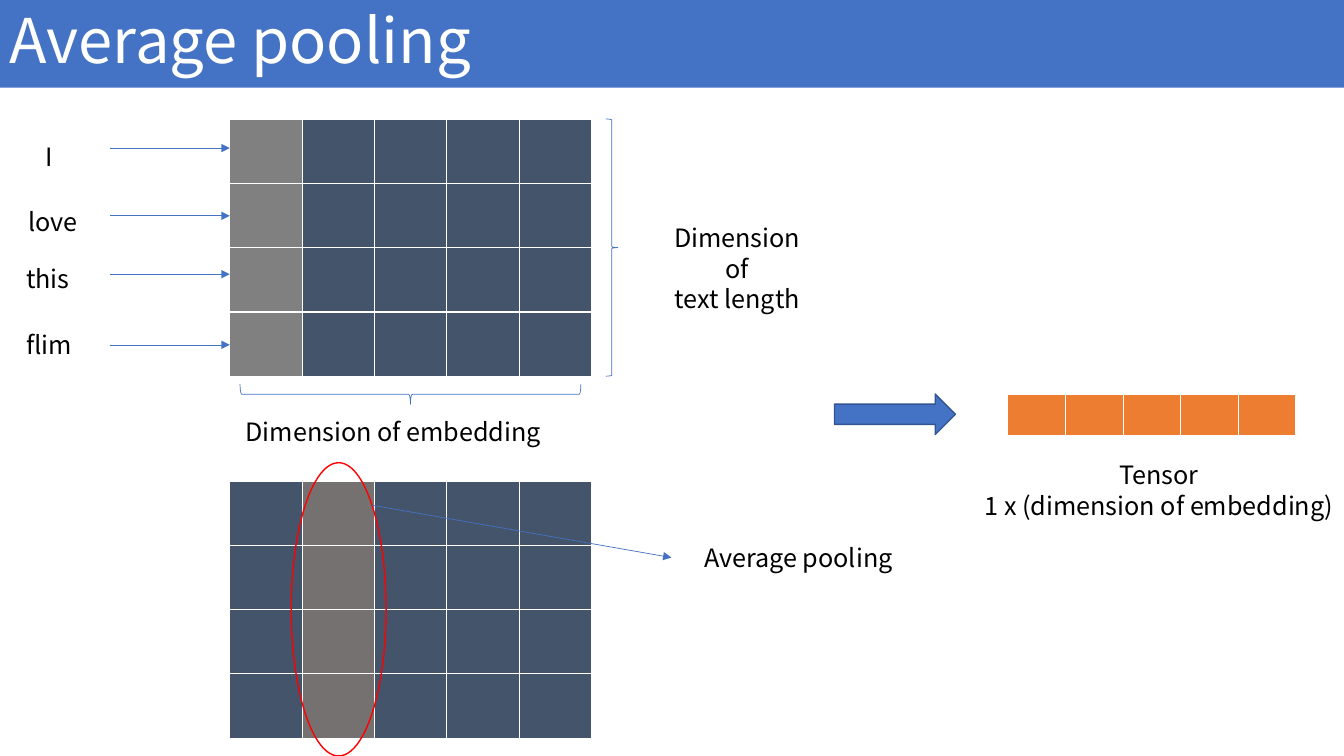
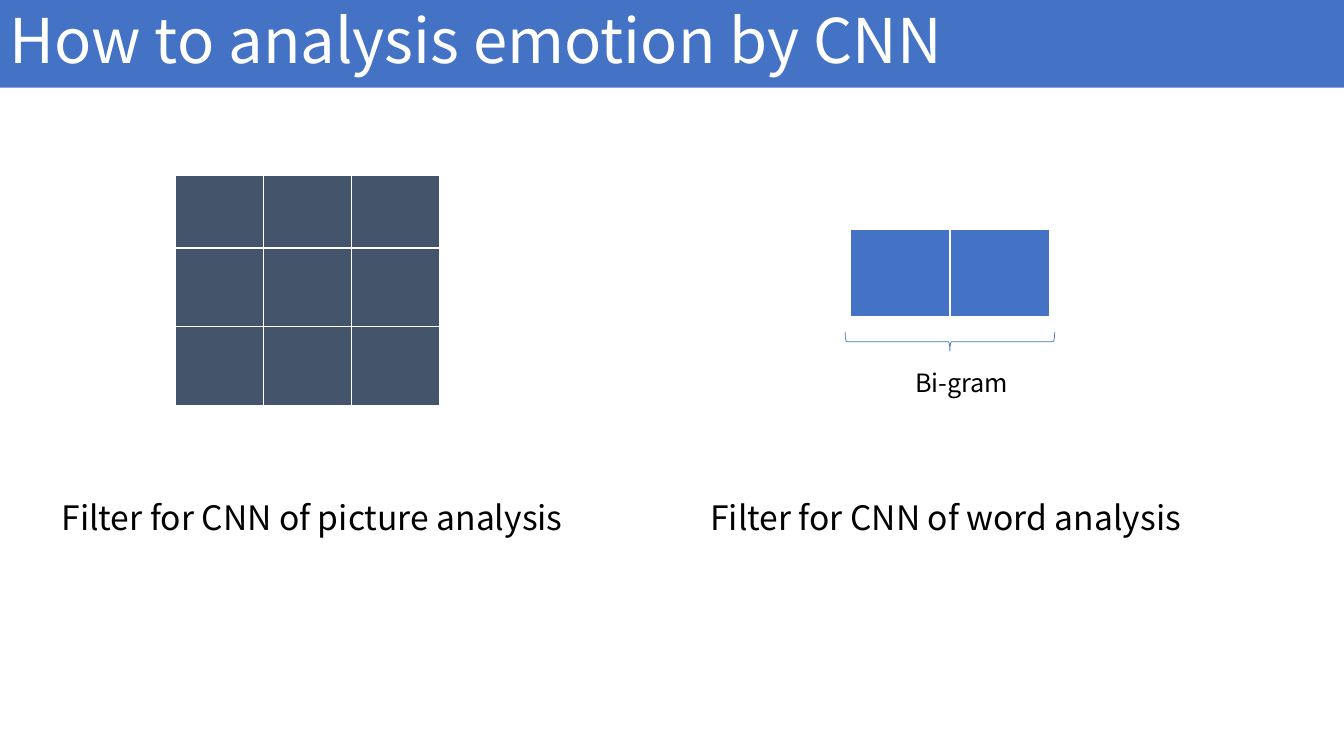
from lxml import etree
from pptx import Presentation
from pptx.dml.color import RGBColor
from pptx.enum.shapes import MSO_CONNECTOR, MSO_SHAPE
from pptx.enum.text import MSO_ANCHOR, PP_ALIGN
from pptx.oxml.ns import qn
from pptx.util import Cm, Pt

RECT = MSO_SHAPE.RECTANGLE
ELLIPSE = MSO_SHAPE.OVAL
LEFT_BRACE = MSO_SHAPE.LEFT_BRACE
RIGHT_BRACE = MSO_SHAPE.RIGHT_BRACE
RIGHT_ARROW = MSO_SHAPE.RIGHT_ARROW
STRAIGHT = MSO_CONNECTOR.STRAIGHT
LEFT, CENTER = PP_ALIGN.LEFT, PP_ALIGN.CENTER
MIDDLE = MSO_ANCHOR.MIDDLE

FONT = "Noto Sans CJK JP"
BLUE, DARK_BLUE, SLATE = "4472C4", "325491", "44546A"
GREY, WARM_GREY, ORANGE = "808080", "767171", "ED7D31"
RED, BLACK, WHITE = "FF0000", "000000", "FFFFFF"

SLIDE_W, SLIDE_H, BAND_H = 33.87, 19.05, 2.21
MATRIX_W, MATRIX_ROWS = 9.12, [1.62] * 4
MATRIX_H = sum(MATRIX_ROWS)

# word, label left, label top, arrow height (from the corner of the matrix)
WORDS = [
    ("I", -4.88, 0.43, 0.73),
    ("love", -5.33, 2.08, 2.44),
    ("this", -5.38, 3.5, 3.91),
    ("flim", -5.38, 5.18, 5.69),
]


def rgb(code):
    return RGBColor.from_string(code)


def set_text(tf, text, size, color, align=LEFT):
    tf.text = text
    tf.word_wrap = True
    for p in tf.paragraphs:
        p.alignment = align
        for r in p.runs:
            r.font.name = FONT
            r.font.size = Pt(size)
            r.font.color.rgb = rgb(color)


def add_shape(slide, kind, x, y, w, h, fill=None, line=None, width=0.5):
    sp = slide.shapes.add_shape(kind, Cm(x), Cm(y), Cm(w), Cm(h))
    sp.shadow.inherit = False
    if fill:
        sp.fill.solid()
        sp.fill.fore_color.rgb = rgb(fill)
    else:
        sp.fill.background()
    if line:
        sp.line.color.rgb = rgb(line)
        sp.line.width = Pt(width)
    else:
        sp.line.fill.background()
    return sp


def add_label(slide, text, x, y, w, size=18, align=LEFT):
    lines = text.count("\n") + text.count("\v") + 1
    sp = slide.shapes.add_textbox(Cm(x), Cm(y), Cm(w), Cm(0.25 + lines * size * 0.043))
    tf = sp.text_frame
    if align == CENTER:
        tf.margin_left = tf.margin_right = 0
    set_text(tf, text, size, BLACK, align)


def add_arrow(slide, x1, y1, x2, y2):
    line = slide.shapes.add_connector(STRAIGHT, Cm(x1), Cm(y1), Cm(x2), Cm(y2))
    line.line.color.rgb = rgb(BLUE)
    line.line.width = Pt(0.5)
    etree.SubElement(line.line._get_or_add_ln(), qn("a:tailEnd"), type="triangle")
    etree.SubElement(line._element.spPr, qn("a:effectLst"))


def add_brace_below(slide, x, y, w, h):
    """Brace that fills the box, with its point down."""
    sp = add_shape(slide, LEFT_BRACE, x + (w - h) / 2, y + (h - w) / 2, h, w, line=BLUE)
    sp.rotation = 270


def add_grid(slide, x, y, w, row_heights, cols, color, marked=None, mark_color=GREY):
    """Table of plain cells, with the marked column in its own colour."""
    frame = slide.shapes.add_table(
        len(row_heights), cols, Cm(x), Cm(y), Cm(w), Cm(sum(row_heights)))
    table = frame.table
    for column in table.columns:
        column.width = Cm(w / cols)
    for row, height in zip(table.rows, row_heights):
        row.height = Cm(height)
        for i, cell in enumerate(row.cells):
            cell.margin_top = cell.margin_bottom = 0
            cell.fill.solid()
            cell.fill.fore_color.rgb = rgb(mark_color if i == marked else color)


def add_titled_slide(prs, title):
    slide = prs.slides.add_slide(prs.slide_layouts[6])
    band = add_shape(slide, RECT, 0, 0, SLIDE_W, BAND_H, fill=BLUE)
    tf = band.text_frame
    set_text(tf, title, 44, WHITE)
    tf.vertical_anchor = MIDDLE
    tf.paragraphs[0].line_spacing = 0.9
    return slide


def embedding_matrix(slide, x, y):
    add_grid(slide, x, y, MATRIX_W, MATRIX_ROWS, 5, SLATE, marked=0)
    for word, left, top, arrow_y in WORDS:
        add_label(slide, word, x + left, y + top, 1.78)
        add_arrow(slide, x - 3.02, y + arrow_y, x, y + arrow_y)
    add_brace_below(slide, x + 0.26, y + 6.68, 8.59, 0.51)
    add_label(slide, "Dimension of embedding", x + 0.15, y + 7.36, 8.33)
    add_shape(slide, RIGHT_BRACE, x + 9.48, y, 0.3, MATRIX_H, line=BLUE)
    add_label(slide, "Dimension\vof\ntext length", x + 10.34, y + 2.49, 4.9, align=CENTER)


def pooling_matrix(slide, x, y):
    add_grid(slide, x, y, MATRIX_W, MATRIX_ROWS, 5, SLATE, marked=1, mark_color=WARM_GREY)
    add_shape(slide, ELLIPSE, x + 1.55, y - 0.46, 2.39, 7.39, line=RED, width=1)
    add_arrow(slide, x + 3.58, y + 0.61, x + 11.13, y + 1.93)
    add_label(slide, "Average pooling", x + 11.13, y + 1.42, 6.4, align=CENTER)


def pooled_tensor(slide, x, y):
    add_shape(slide, RIGHT_ARROW, x, y, 3.05, 1.02, fill=BLUE, line=DARK_BLUE, width=1)
    add_grid(slide, x + 4.37, y, 7.26, [1.04], 5, ORANGE)
    add_label(slide, "Tensor\n1 x (dimension of embedding)", x + 3.53, y + 1.53, 9.3,
              align=CENTER)


def filter_caption(slide, subject, x, y):
    add_label(slide, f"Filter for CNN of {subject} analysis", x, y + 7.98, 14.9, size=24)


def picture_filter(slide, x, y):
    add_grid(slide, x + 3.12, y, 6.65, [1.83, 1.98, 1.98], 3, SLATE)
    filter_caption(slide, "picture", x, y)


def word_filter(slide, x, y):
    add_grid(slide, x + 3.79, y + 1.35, 5, [2.21], 2, BLUE)
    add_brace_below(slide, x + 3.65, y + 3.95, 5.28, 0.48)
    add_label(slide, "Bi-gram", x + 5.16, y + 4.72, 3.53)
    filter_caption(slide, "word", x, y)


def main():
    prs = Presentation()
    prs.slide_width, prs.slide_height = Cm(SLIDE_W), Cm(SLIDE_H)

    slide = add_titled_slide(prs, "Average pooling")
    embedding_matrix(slide, 5.79, 3)
    pooling_matrix(slide, 5.79, 12.12)
    pooled_tensor(slide, 21.03, 9.93)

    slide = add_titled_slide(prs, "How to analysis emotion by CNN")
    picture_filter(slide, 1.3, 4.42)
    word_filter(slide, 17.65, 4.42)

    prs.save("out.pptx")


if __name__ == "__main__":
    main()
